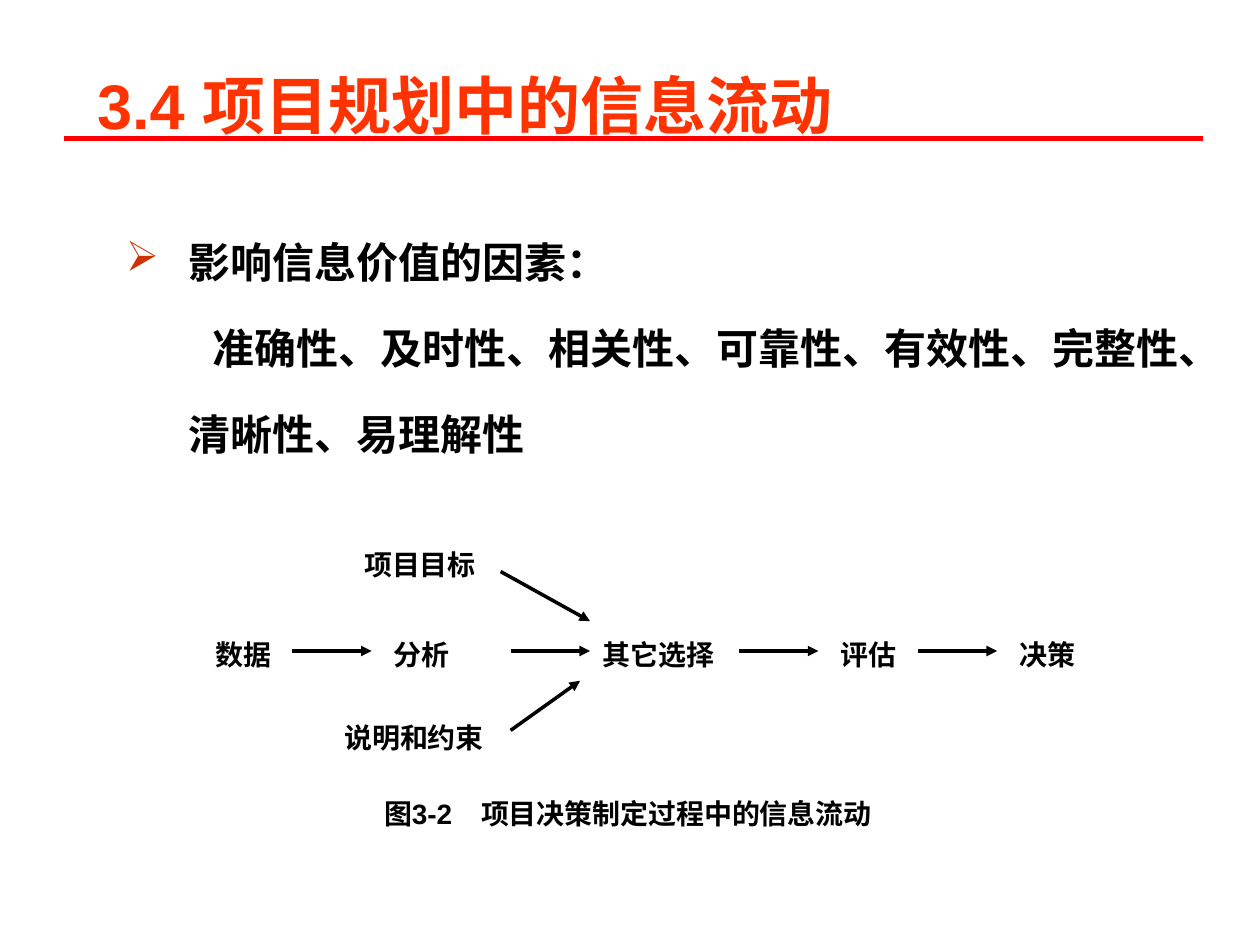
from dataclasses import dataclass

from lxml import etree
from pptx import Presentation
from pptx import util as u
from pptx.dml.color import RGBColor
from pptx.enum import shapes, text
from pptx.oxml.ns import qn


@dataclass(frozen=True)
class Theme:
    """Colours, font and type sizes of the slide."""
    font: str = "Arial"
    title: str = "FF3300"
    rule: str = "FF0000"
    ink: str = "000000"
    bullet: str = "CC3300"
    title_size: int = 36
    body_size: int = 24
    label_size: int = 16


T = Theme()
W, H = 10, 7.5
COLS, ROWS = 91, 29.7
LABEL_H = 4.7
LABELS = [
    ("数据", 0, 9, 10),
    ("分析", 18, 9, 10),
    ("说明和约束", 13, 17.4, 17),
    ("项目目标", 15, 0, 15),
    ("其它选择", 39, 9, 15),
    ("评估", 63, 9, 9),
    ("决策", 81, 9, 10),
    ("图3-2\t项目决策制定过程中的信息流动", 17, 25, 62),
]
ARROWS = [(c, 11, c + 8, 11) for c in (9, 31, 54, 72)]
ARROWS += [(31, 19, 38, 14), (30, 3, 39, 8)]


def apply(obj, **values):
    """Set each named attribute on an object."""
    for name, value in values.items():
        setattr(obj, name, value)


def place(sp, x, y, w, h):
    """Move and size a shape in inches."""
    apply(sp, left=u.Inches(x), top=u.Inches(y),
          width=u.Inches(w), height=u.Inches(h))


def write(p, words, size, color):
    """Put one bold run into a paragraph."""
    r = p.add_run()
    r.text = words
    apply(r.font, name=T.font, size=u.Pt(size), bold=True)
    r.font.color.rgb = RGBColor.from_string(color)


def sub(parent, tag, **attrs):
    """Append a DrawingML child element."""
    child = etree.SubElement(parent, qn(tag))
    for name, value in attrs.items():
        child.set(name, str(value))
    return child


def add_line(s, ends, color, width, arrow=False):
    """Draw a straight line between two points in inches."""
    ln = s.shapes.add_connector(shapes.MSO_CONNECTOR.STRAIGHT,
                                *(u.Inches(v) for v in ends))
    ln.line.color.rgb = RGBColor.from_string(color)
    ln.line.width = u.Pt(width)
    if arrow:
        sub(ln.line._get_or_add_ln(), "a:tailEnd", type="triangle")
    sub(ln._element.spPr, "a:effectLst")
    return ln


def add_box(s, box, wrap):
    """Add a top-anchored text box and return its text frame."""
    tf = s.shapes.add_textbox(*(u.Inches(v) for v in box)).text_frame
    apply(tf, word_wrap=wrap, vertical_anchor=text.MSO_ANCHOR.TOP)
    return tf


def heading(s, box):
    """Place the title over its red rule."""
    sp = s.shapes.title
    place(sp, *box)
    tf = sp.text_frame
    apply(tf, vertical_anchor=text.MSO_ANCHOR.MIDDLE, word_wrap=True,
          auto_size=text.MSO_AUTO_SIZE.NONE)
    p = tf.paragraphs[0]
    p.alignment = text.PP_ALIGN.LEFT
    write(p, "3.4 项目规划中的信息流动", T.title_size, T.title)
    rule = add_line(s, (0.051 * W, 1.1, 0.955 * W, 1.1), T.rule, 3)
    s.shapes._spTree.insert(2, rule._element)


def factors(s, box):
    """Write the bulleted heading and its indented list of factors."""
    tf = add_box(s, box, True)
    rows = [("影响信息价值的因素：", -0.5, "➢"),
            ("准确性、及时性、相关性、可靠性、有效性、完整性、清晰性、易理解性", 0.19, None)]
    for i, (words, indent, mark) in enumerate(rows):
        p = tf.add_paragraph() if i else tf.paragraphs[0]
        p.line_spacing = 1.7
        pPr = p._p.get_or_add_pPr()
        pPr.set("marL", str(u.Inches(0.5)))
        pPr.set("indent", str(u.Inches(indent)))
        if mark:
            sub(sub(pPr, "a:buClr"), "a:srgbClr", val=T.bullet)
            sub(pPr, "a:buChar", char=mark)
        else:
            sub(pPr, "a:buNone")
        write(p, words, T.body_size, T.ink)


def flow(s, box):
    """Draw the information flow on a grid inside the box."""
    x, y, w, h = box
    cw, rh = w / COLS, h / ROWS
    for words, c, r, span in LABELS:
        tf = add_box(s, (x + c * cw, y + r * rh, span * cw, LABEL_H * rh), False)
        p = tf.paragraphs[0]
        if "\t" in words:
            tabs = sub(p._p.get_or_add_pPr(), "a:tabLst")
            sub(tabs, "a:tab", pos=u.Inches(0.77), algn="l")
        write(p, words, T.label_size, T.ink)
    for c1, r1, c2, r2 in ARROWS:
        add_line(s, (x + c1 * cw, y + r1 * rh, x + c2 * cw, y + r2 * rh),
                 T.ink, 2, arrow=True)


def main():
    """Build the slide and save it."""
    prs = Presentation()
    apply(prs, slide_width=u.Inches(W), slide_height=u.Inches(H))
    s = prs.slides.add_slide(prs.slide_layouts[5])
    heading(s, (0.67, 0.28, 7.75, 1.1))
    factors(s, (0.9, 1.55, 8.74, 2.14))
    flow(s, (1.61, 4.3, 7.17, 2.34))
    prs.save("out.pptx")


if __name__ == "__main__":
    main()
